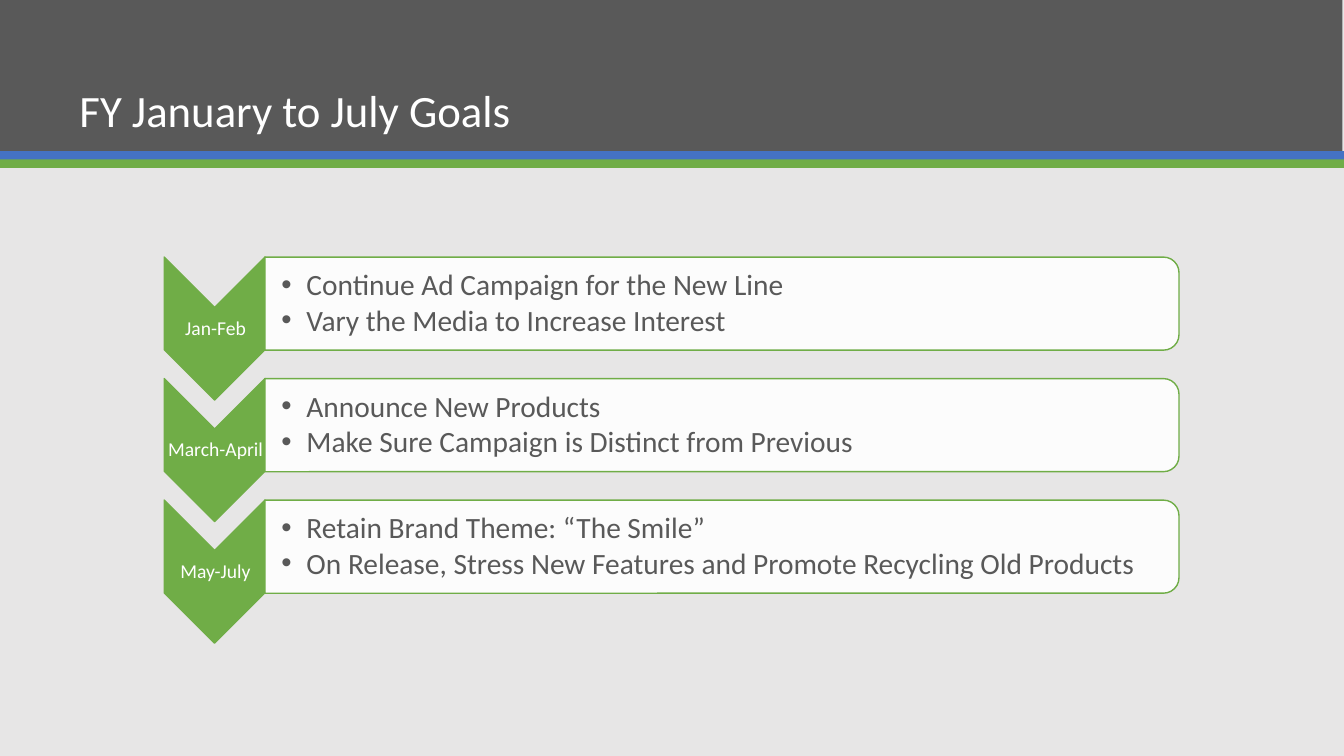
"""Build the January to July goals slide."""
from lxml import etree
from pptx import Presentation
from pptx.dml import color
from pptx.enum import shapes, text
from pptx.oxml import ns
from pptx.util import Pt

GREEN, BLUE, GREY, WHITE = "70AD47", "4472C4", "595959", "FFFFFF"
KIND = shapes.MSO_SHAPE
PITCH = 86.8
GOALS = [
    ("Jan-Feb", ["Continue Ad Campaign for the New Line",
                 "Vary the Media to Increase Interest"]),
    ("March-April", ["Announce New Products",
                     "Make Sure Campaign is Distinct from Previous"]),
    ("May-July", ["Retain Brand Theme: “The Smile”",
                  "On Release, Stress New Features and Promote Recycling Old Products"]),
]


def rgb(value):
    return color.RGBColor.from_string(value)


def apply(target, values):
    for name, value in values.items():
        setattr(target, name, value)


class Painter:
    def __init__(self, page, font):
        self.page, self.font = page, font

    def shape(self, kind, place, fill, line=None, alpha=None, rotation=0):
        item = self.page.shapes.add_shape(kind, *map(Pt, place))
        item.shadow.inherit = False
        item.rotation = rotation
        item.fill.solid()
        item.fill.fore_color.rgb = rgb(fill)
        if alpha:
            fill_color = item.fill._xPr.find(".//" + ns.qn("a:srgbClr"))
            etree.SubElement(fill_color, ns.qn("a:alpha"), val=str(alpha * 1000))
        if line:
            item.line.color.rgb = rgb(line)
            item.line.width = Pt(1)
        else:
            item.line.fill.background()

    def text(self, place, lines, size, ink, margins, anchor, after=0,
             align=text.PP_ALIGN.LEFT, bullet=False):
        frame = self.page.shapes.add_textbox(*map(Pt, place)).text_frame
        sides = ("margin_left", "margin_top", "margin_right", "margin_bottom")
        apply(frame, dict(zip(sides, map(Pt, margins))))
        apply(frame, {"word_wrap": True, "vertical_anchor": anchor})
        for index, line in enumerate(lines):
            para = frame.add_paragraph() if index else frame.paragraphs[0]
            if bullet:
                self.bullet(para)
            span = para.add_run()
            span.text = line
            apply(para, {"alignment": align, "line_spacing": 0.9,
                         "space_before": Pt(0), "space_after": Pt(after)})
            apply(span.font, {"name": self.font, "size": Pt(size)})
            span.font.color.rgb = rgb(ink)

    def bullet(self, para):
        props = para._p.get_or_add_pPr()
        props.set("marL", str(Pt(18)))
        props.set("indent", str(-Pt(18)))
        etree.SubElement(props, ns.qn("a:buFont"), typeface="Arial")
        etree.SubElement(props, ns.qn("a:buChar"), char="•")


def main():
    deck = Presentation()
    apply(deck, {"slide_width": Pt(960), "slide_height": Pt(540)})
    page = deck.slides.add_slide(deck.slide_layouts[6])
    page.background.fill.solid()
    page.background.fill.fore_color.rgb = rgb("E7E6E6")
    painter = Painter(page, "Calibri")

    painter.shape(KIND.RECTANGLE, (-1.2, 0, 960, 108), GREY)
    for top, fill in ((108, BLUE), (113.8, GREEN)):
        painter.shape(KIND.RECTANGLE, (0, top, 960, 6.2), fill)
    painter.text((49.7, 20.2, 859.7, 81.4), ["FY January to July Goals"], 32, WHITE,
                 (7.2, 3.6, 7.2, 3.6), text.MSO_ANCHOR.BOTTOM)

    for row, (months, goals) in enumerate(GOALS):
        shift = row * PITCH
        painter.shape(KIND.CHEVRON, (102.2, 198.7 + shift, 102.2, 72), GREEN,
                      line=GREEN, rotation=90)
        painter.text((118, 219.3 + shift, 72, 31), [months], 14, WHITE, (0.7,) * 4,
                     text.MSO_ANCHOR.MIDDLE, after=4.9, align=text.PP_ALIGN.CENTER)
        painter.shape(KIND.ROUND_2_SAME_RECTANGLE, (482.4, -109.6 + shift, 66.5, 653),
                      WHITE, line=GREEN, alpha=90, rotation=90)
        painter.text((189.4, 187 + shift, 649.4, 60), goals, 21, GREY,
                     (11.5, 0.7, 0.7, 0.7), text.MSO_ANCHOR.MIDDLE, after=2.7, bullet=True)

    deck.save("out.pptx")


if __name__ == "__main__":
    main()
